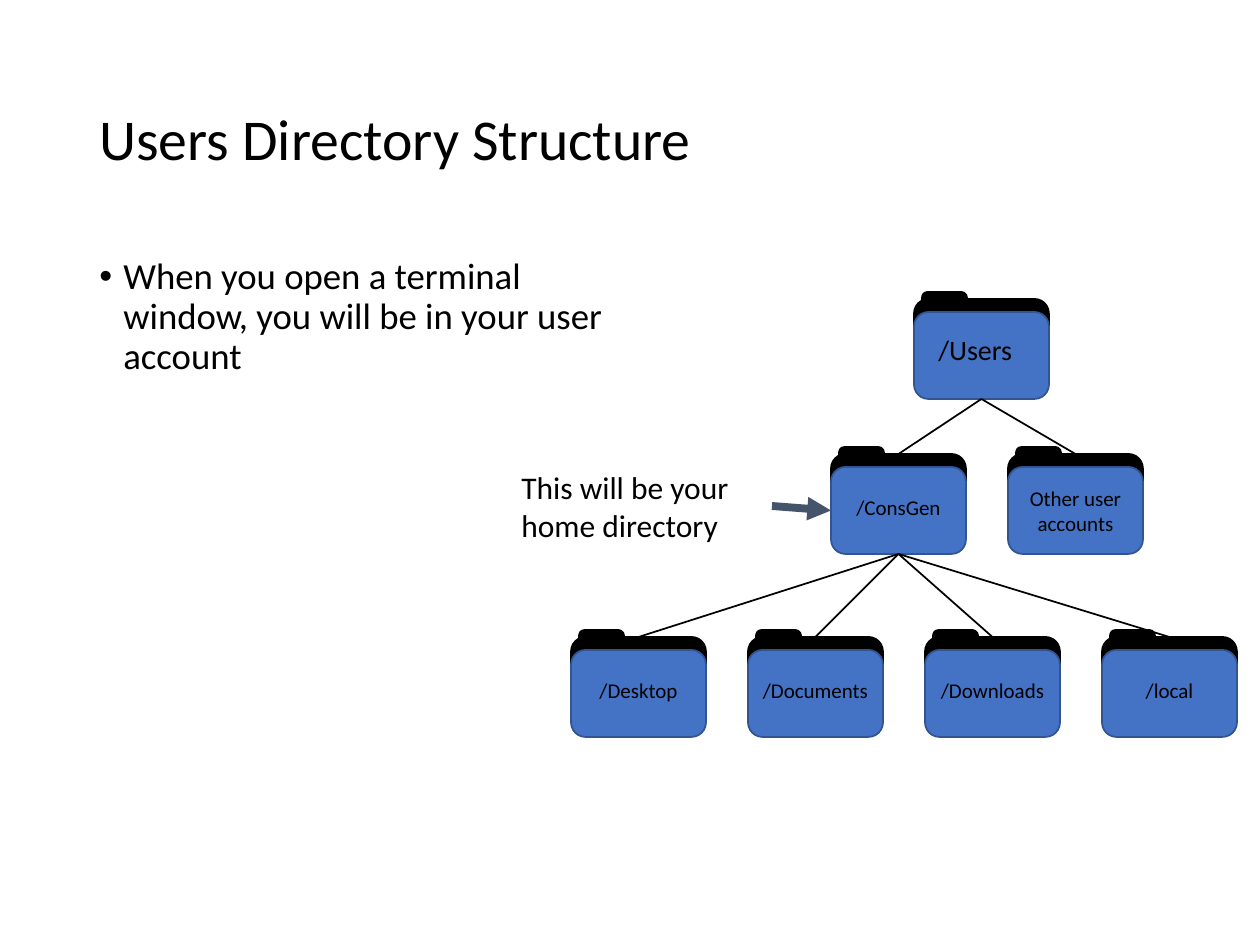
from dataclasses import dataclass

from lxml.etree import SubElement
from pptx import Presentation
from pptx.dml.color import RGBColor
from pptx.enum.shapes import MSO_CONNECTOR, MSO_SHAPE
from pptx.enum.text import MSO_ANCHOR, MSO_AUTO_SIZE, PP_ALIGN
from pptx.oxml.ns import qn
from pptx.util import Emu, Inches, Pt


@dataclass(frozen=True)
class Theme:
    """Colours, font and type sizes of the slide."""
    font: str = "Calibri"
    ink: str = "000000"
    face: str = "4472C4"
    edge: str = "325491"
    arrow: str = "44546A"
    title: int = 33
    body: int = 21
    note: int = 18
    root: int = 16
    label: int = 12


THEME = Theme()
SCALE = 914400 / 126


def px(*sizes):
    """Turn px into EMU."""
    return [Emu(round(size * SCALE)) for size in sizes]


def write(slide, box, text, size, align=PP_ALIGN.LEFT, grow=True):
    """Place one paragraph of text and return its shape."""
    shape = slide.shapes.add_textbox(*px(*box))
    frame = shape.text_frame
    frame.word_wrap = True
    frame.auto_size = MSO_AUTO_SIZE.SHAPE_TO_FIT_TEXT if grow else MSO_AUTO_SIZE.NONE
    para = frame.paragraphs[0]
    para.text = text
    para.alignment = align
    para.font.name = THEME.font
    para.font.size = Pt(size)
    para.font.color.rgb = RGBColor.from_string(THEME.ink)
    return shape


def head(slide, box):
    """Place the slide title."""
    frame = write(slide, box, "Users Directory Structure", THEME.title, grow=False).text_frame
    frame.vertical_anchor = MSO_ANCHOR.MIDDLE
    frame.paragraphs[0].line_spacing = 0.9


def body(slide, box):
    """Place the bulleted statement."""
    text = "When you open a terminal window, you will be in your user account"
    para = write(slide, box, text, THEME.body, grow=False).text_frame.paragraphs[0]
    para.line_spacing = 0.9
    para.space_before = Pt(7.5)
    props = para._p.get_or_add_pPr()
    props.set("marL", str(Inches(0.19)))
    props.set("indent", str(-Inches(0.19)))
    SubElement(props, qn("a:buFont")).set("typeface", "Arial")
    SubElement(props, qn("a:buChar")).set("char", "•")


def panel(slide, kind, box, fill, edge):
    """Draw one filled part of a folder."""
    shape = slide.shapes.add_shape(kind, *px(*box))
    shape.shadow.inherit = False
    shape.fill.solid()
    shape.fill.fore_color.rgb = RGBColor.from_string(fill)
    shape.line.color.rgb = RGBColor.from_string(edge)
    shape.line.width = Pt(1)
    return shape


def folder(slide, box, text, area=(0, 41, 135, 38), size=THEME.label, align=PP_ALIGN.CENTER):
    """Draw a labelled folder and return its back and front."""
    left, top, wide, high = box
    deep = high - 20
    panel(slide, MSO_SHAPE.ROUND_2_SAME_RECTANGLE, (left + 8, top, 45, 33), THEME.ink, THEME.ink)
    back = panel(slide, MSO_SHAPE.ROUNDED_RECTANGLE, (left, top + 7, wide, deep), THEME.ink, THEME.ink)
    front = panel(slide, MSO_SHAPE.ROUNDED_RECTANGLE, (left, top + 20, wide, deep), THEME.face, THEME.edge)
    across, down, *extent = area
    write(slide, (left + across, top + down, *extent), text, size, align)
    return back, front


def wire(slide, color, width, start=(0, 0)):
    """Draw a plain connector from a point."""
    line = slide.shapes.add_connector(MSO_CONNECTOR.STRAIGHT, *px(*start, *start))
    line.line.color.rgb = RGBColor.from_string(color)
    line.line.width = Pt(width)
    SubElement(line._element.spPr, qn("a:effectLst"))
    return line


def link(slide, above, below):
    """Join a folder to the ones under it."""
    for child in below:
        line = wire(slide, THEME.ink, 1)
        line.begin_connect(above[1], 2)
        line.end_connect(child[0], 0)


def tree(slide, box):
    """Draw the directory tree and return the home folder."""
    left, top, wide, high = box
    step, size = 177, (135, 107)
    root = folder(slide, (left + 343, top, *size), "/Users", (12, 34, 113, 47), THEME.root, PP_ALIGN.LEFT)
    mid = left + 260, top + 155
    home = folder(slide, (*mid, *size), "/ConsGen")
    other = folder(slide, (mid[0] + step, mid[1], *size), "Other user accounts", (0, 32, 135, 63))
    names = "/Desktop", "/Documents", "/Downloads", "/local"
    base = top + high - size[1]
    leaves = [folder(slide, (left + i * step, base, *size), name) for i, name in enumerate(names)]
    link(slide, root, (home, other))
    link(slide, home, leaves)
    return home


def note(slide, box, home):
    """Place the remark and point it at the home folder."""
    left, top, wide, high = box
    write(slide, box, "This will be your home directory", THEME.note)
    line = wire(slide, THEME.arrow, 4.5, (left + wide + 1, top + high // 2))
    line.end_connect(home[1], 1)
    SubElement(line.line._get_or_add_ln(), qn("a:tailEnd")).set("type", "triangle")


def main():
    """Build and save the deck."""
    deck = Presentation()
    deck.slide_width, deck.slide_height = px(1260, 945)
    slide = deck.slides.add_slide(deck.slide_layouts[6])
    head(slide, (87, 50, 1086, 183))
    body(slide, (87, 252, 536, 600))
    home = tree(slide, (571, 292, 666, 445))
    note(slide, (509, 462, 262, 89), home)
    deck.save("out.pptx")


if __name__ == "__main__":
    main()
